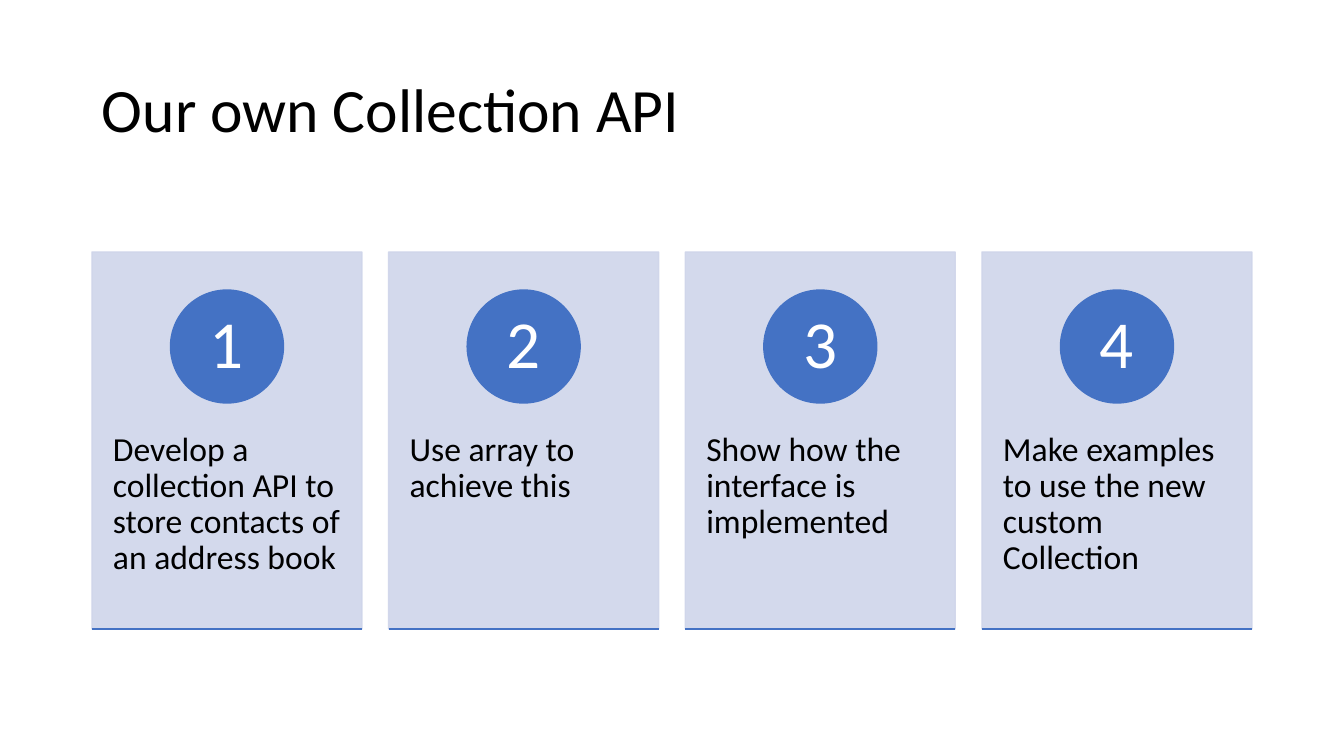
import pptx
import pptx.util
import pptx.dml.color
import pptx.enum.shapes
import pptx.enum.text
import pptx.oxml
import pptx.oxml.ns
from lxml import etree

HEADING = "Our own Collection API"
STEPS = [
    "Develop a collection API to store contacts of an address book",
    "Use array to achieve this",
    "Show how the interface is implemented",
    "Make examples to use the new custom Collection",
]

RGBColor = pptx.dml.color.RGBColor
BLACK = RGBColor(0x00, 0x00, 0x00)
WHITE = RGBColor(0xFF, 0xFF, 0xFF)
BLUE = RGBColor(0x44, 0x72, 0xC4)
PALE = RGBColor(0xCF, 0xD5, 0xEA)

ALIGN = pptx.enum.text.PP_ALIGN
ANCHOR = pptx.enum.text.MSO_ANCHOR
SHAPES = pptx.enum.shapes.MSO_SHAPE

EMU_PER_PX = 914400 / 100.8
SLIDE_SIZE = (1344, 756)
HEADING_BOX = (92, 40, 1160, 146)
CARDS_LEFT, CARDS_RIGHT = 92, 1252
CARD_TOP, CARD_WIDTH, CARD_HEIGHT = 252, 270, 377
CIRCLE_TOP, CIRCLE_SIZE = 290, 113
STEP_TOP, STEP_HEIGHT = 396, 227

HEADING_FORMAT = {"size": 44, "color": BLACK, "align": ALIGN.LEFT,
                  "anchor": ANCHOR.MIDDLE, "margins": (10, 5)}
NUMBER_FORMAT = {"size": 48, "color": WHITE, "align": ALIGN.CENTER,
                 "anchor": ANCHOR.MIDDLE, "margins": (9, 1)}
STEP_FORMAT = {"size": 24, "color": BLACK, "align": ALIGN.LEFT,
               "anchor": ANCHOR.TOP, "margins": (21, 36)}


def px(length):
    return pptx.util.Emu(round(length * EMU_PER_PX))


def write(holder, text, style):
    frame = holder.text_frame
    frame.text = text
    across, down = map(px, style["margins"])
    paragraph = frame.paragraphs[0]
    formats = {
        frame: {"word_wrap": True, "auto_size": pptx.enum.text.MSO_AUTO_SIZE.NONE,
                "vertical_anchor": style["anchor"],
                "margin_left": across, "margin_right": across,
                "margin_top": down, "margin_bottom": down},
        paragraph: {"alignment": style["align"], "line_spacing": 0.9},
        paragraph.runs[0].font: {"name": "Calibri", "size": pptx.util.Pt(style["size"])},
    }
    for target, values in formats.items():
        for attribute, value in values.items():
            setattr(target, attribute, value)
    paragraph.runs[0].font.color.rgb = style["color"]


def add_filled(slide, preset, box, color, opacity=100):
    shape = slide.shapes.add_shape(preset, *map(px, box))
    shape.shadow.inherit = False
    shape.fill.solid()
    shape.line.width = pptx.util.Pt(1)
    for paint in (shape.fill.fore_color, shape.line.color):
        paint.rgb = color
    if opacity < 100:
        for tint in shape.element.spPr.iter(pptx.oxml.ns.qn("a:srgbClr")):
            alpha = etree.SubElement(tint, pptx.oxml.ns.qn("a:alpha"))
            alpha.set("val", str(opacity * 1000))
    return shape


def add_baseline(slide, left, y, width):
    baseline = slide.shapes.add_connector(
        pptx.enum.shapes.MSO_CONNECTOR.STRAIGHT, px(left), px(y), px(left + width), px(y))
    baseline.line.color.rgb = BLUE
    baseline.line.width = pptx.util.Pt(1)
    etree.SubElement(baseline.element.spPr, pptx.oxml.ns.qn("a:effectLst"))


def add_card(slide, number, step, left):
    add_filled(slide, SHAPES.RECTANGLE,
               (left, CARD_TOP, CARD_WIDTH, CARD_HEIGHT), PALE, opacity=90)
    description = slide.shapes.add_textbox(
        *map(px, (left, STEP_TOP, CARD_WIDTH, STEP_HEIGHT)))
    write(description, step, STEP_FORMAT)
    circle_left = left + (CARD_WIDTH - CIRCLE_SIZE) / 2
    circle = add_filled(slide, SHAPES.OVAL,
                        (circle_left, CIRCLE_TOP, CIRCLE_SIZE, CIRCLE_SIZE), BLUE)
    write(circle, str(number), NUMBER_FORMAT)
    add_baseline(slide, left, CARD_TOP + CARD_HEIGHT, CARD_WIDTH)


def main():
    deck = pptx.Presentation()
    deck.slide_width, deck.slide_height = map(px, SLIDE_SIZE)
    slide = deck.slides.add_slide(deck.slide_layouts[5])

    heading = slide.shapes.title
    heading.left, heading.top, heading.width, heading.height = map(px, HEADING_BOX)
    write(heading, HEADING, HEADING_FORMAT)

    pitch = (CARDS_RIGHT - CARDS_LEFT - CARD_WIDTH) / (len(STEPS) - 1)
    for index, step in enumerate(STEPS):
        add_card(slide, index + 1, step, CARDS_LEFT + index * pitch)

    deck.save("out.pptx")


if __name__ == "__main__":
    main()
